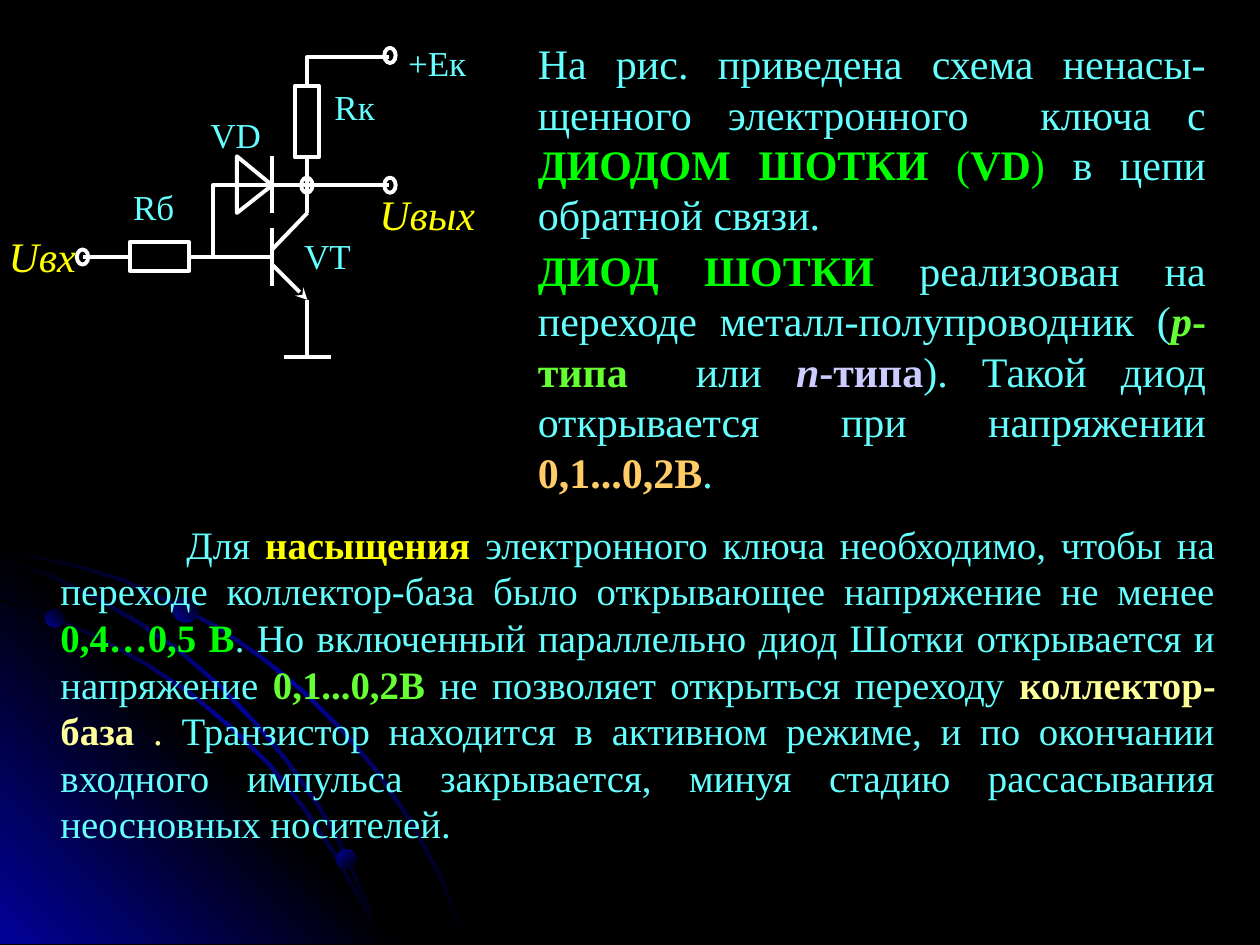
"""Build a slide on the unsaturated electronic switch with a Schottky diode."""
import dataclasses

import lxml.etree
import pptx
import pptx.dml.color
import pptx.enum.shapes
import pptx.enum.text
import pptx.oxml
import pptx.oxml.ns
import pptx.util

Inches = pptx.util.Inches
Shape = pptx.enum.shapes.MSO_SHAPE
Align = pptx.enum.text.PP_ALIGN
qn = pptx.oxml.ns.qn


@dataclasses.dataclass(frozen=True)
class Theme:
    font: str = "Times New Roman"
    black: str = "000000"
    blue: str = "010199"
    white: str = "FFFFFF"
    cyan: str = "66FFFF"
    yellow: str = "FFFF00"
    green: str = "00FF00"
    lime: str = "66FF33"
    cream: str = "FFFF99"
    lilac: str = "CCCCFF"
    orange: str = "FFCC66"
    label: float = 20
    text: float = 24
    body: float = 22.2
    wire: float = 2.25


theme = Theme()
BOLD = {"bold": True}
ITALIC = {"italic": True}
BOLD_ITALIC = {"bold": True, "italic": True}


def write(para, size, align, spans):
    para.alignment = align
    for text, color, traits in spans:
        span = para.add_run()
        span.text = text
        values = {"name": theme.font, "size": pptx.util.Pt(size), "bold": False, "italic": False}
        for name, value in (values | traits).items():
            setattr(span.font, name, value)
        span.font.color.rgb = pptx.dml.color.RGBColor.from_string(color)


def paint(shape, colors=None, angle=0):
    shape.shadow.inherit = False
    if not colors:
        shape.fill.background()
        shape.line.color.rgb = pptx.dml.color.RGBColor.from_string(theme.white)
        shape.line.width = pptx.util.Pt(theme.wire)
        return
    shape.line.fill.background()
    shape.fill.gradient()
    gradient = shape._element.spPr.find(qn("a:gradFill"))
    stops = gradient.find(qn("a:gsLst"))
    for stop in list(stops):
        stops.remove(stop)
    for index, color in enumerate(colors):
        position = str(100000 * index // (len(colors) - 1))
        stop = lxml.etree.SubElement(stops, qn("a:gs"), pos=position)
        lxml.etree.SubElement(stop, qn("a:srgbClr"), val=color)
    gradient.find(qn("a:lin")).set("ang", str(angle * 60000))


deck = pptx.Presentation()
deck.slide_width, deck.slide_height = Inches(10), Inches(7.5)
page = deck.slides.add_slide(deck.slide_layouts[1])
page.background.fill.solid()
page.background.fill.fore_color.rgb = pptx.dml.color.RGBColor.from_string(theme.black)
title = page.shapes.title._element
title.getparent().remove(title)

arcs = [
    [(0, 4.35), (0.28, 4.41), (0.57, 4.47), (0.98, 4.59), (1.36, 4.77), (1.74, 4.97),
     (2.09, 5.21), (2.42, 5.48), (2.72, 5.78), (3, 6.11), (3.25, 6.48), (3.39, 6.73),
     (3.52, 6.98), (3.62, 7.23), (3.72, 7.49)],
    [(0, 4.75), (0.41, 4.88), (0.79, 5.05), (1.17, 5.26), (1.52, 5.49), (1.84, 5.76),
     (2.15, 6.06), (2.42, 6.4), (2.66, 6.76), (2.86, 7.12), (2.96, 7.3), (3.03, 7.49)],
    [(0, 4.42), (0.39, 4.55), (0.76, 4.73), (1.11, 4.93), (1.44, 5.16), (1.75, 5.43),
     (2.04, 5.73), (2.29, 6.03), (2.54, 6.39), (2.69, 6.65), (2.82, 6.93), (2.94, 7.2),
     (3.03, 7.49)],
]
glow = (theme.black, theme.blue, theme.black)
ribbons = [
    arc + [(max(0, x - 0.02), min(7.5, y + 0.02)) for x, y in reversed(arc)] for arc in arcs
]
corner = [(3.22, 7.49), (0, 7.49), (0, 4.27)]
outlines = [
    (ribbons[0], True, glow, 225),
    (corner, True, (theme.blue, theme.black, theme.blue), 135),
    (ribbons[1], True, glow, 225),
    (ribbons[2], True, glow, 225),
    ([(1.69, 2.04), (1.69, 1.47), (3.09, 1.47)], False, None, 0),
    ([(1.88, 1.24), (1.88, 1.69), (2.16, 1.47)], True, None, 0),
    ([(2.44, 0.68), (2.44, 0.45), (3.09, 0.45)], False, None, 0),
]
for points, closed, colors, angle in outlines:
    corners = [(Inches(x), Inches(y)) for x, y in points]
    builder = page.shapes.build_freeform(*corners[0])
    builder.add_line_segments(corners[1:], close=closed)
    paint(builder.convert_to_shape(), colors, angle)

for left, top, size, angle in [(0.36, 4.83, 0.15, 135), (2.67, 6.74, 0.16, 225), (1.37, 4.73, 0.21, 135)]:
    planet = page.shapes.add_shape(Shape.OVAL, Inches(left), Inches(top), Inches(size), Inches(size))
    paint(planet, (theme.black, theme.blue), angle)

resistors = [(1.03, 1.92, 0.47, 0.23), (2.34, 0.68, 0.19, 0.57)]
terminals = [(left, top, 0.09, 0.12) for left, top in [(0.61, 1.98), (3.05, 1.41), (3.05, 0.38), (2.39, 1.41)]]
for kind, places in [(Shape.RECTANGLE, resistors), (Shape.OVAL, terminals)]:
    for place in places:
        paint(page.shapes.add_shape(kind, *map(Inches, place)))

emitter = (2.16, 2.1, 2.44, 2.38)
wires = [
    (2.44, 2.38, 2.44, 2.83), (2.25, 2.83, 2.63, 2.83), (1.5, 2.04, 1.97, 2.04),
    (2.16, 1.81, 2.16, 2.27), emitter, (2.16, 1.98, 2.44, 1.69), (1.97, 2.04, 2.16, 2.04),
    (0.66, 2.04, 1.03, 2.04), (2.44, 1.24, 2.44, 1.69), (2.16, 1.24, 2.16, 1.69),
]
for ends in wires:
    wire = page.shapes.add_connector(pptx.enum.shapes.MSO_CONNECTOR.STRAIGHT, *map(Inches, ends))
    wire.line.color.rgb = pptx.dml.color.RGBColor.from_string(theme.white)
    wire.line.width = pptx.util.Pt(theme.wire)
    if ends == emitter:
        lxml.etree.SubElement(wire.line._get_or_add_ln(), qn("a:tailEnd"), type="stealth")
    lxml.etree.SubElement(wire._element.spPr, qn("a:effectLst"))

small = (theme.label, theme.cyan, {})
signal = (theme.text, theme.yellow, ITALIC)
labels = [
    ("VD", 1.59, 0.9, 0.56, small), ("Uвх", 0, 1.83, 0.67, signal),
    ("Uвых", 2.95, 1.5, 0.88, signal), ("Rб", 0.94, 1.47, 0.56, small),
    ("Rк", 2.63, 0.68, 0.37, small), ("+Ек", 3.19, 0.33, 0.56, small),
    ("VT", 2.32, 1.86, 0.56, small),
]
for text, left, top, width, (size, color, traits) in labels:
    box = page.shapes.add_textbox(Inches(left), Inches(top), Inches(width), Inches(0.34))
    frame = box.text_frame
    for side in ("left", "top", "right", "bottom"):
        setattr(frame, f"margin_{side}", 0)
    frame.word_wrap = True
    write(frame.paragraphs[0], size, Align.CENTER, [(text, color, traits)])

box = page.shapes.add_textbox(Inches(4.17), Inches(0.25), Inches(5.5), Inches(3.74))
box.text_frame.word_wrap = True
write(box.text_frame.paragraphs[0], theme.text, Align.JUSTIFY, [
    ("На рис. приведена схема ненасы-щенного электронного  ключа с ", theme.cyan, {}),
    ("ДИОДОМ ШОТКИ", theme.green, BOLD), (" (", theme.green, {}),
    ("VD", theme.green, BOLD), (")", theme.green, {}),
    (" в цепи обратной связи.", theme.cyan, {}),
])
para = box.text_frame.add_paragraph()
para.space_before = pptx.util.Pt(3)
write(para, theme.text, Align.JUSTIFY, [
    ("ДИОД ШОТКИ", theme.green, BOLD),
    (" реализован на переходе металл-полупроводник (", theme.cyan, {}),
    ("p", theme.lime, BOLD_ITALIC), ("-типа", theme.lime, BOLD),
    ("  или ", theme.cyan, {}), ("n", theme.lilac, BOLD_ITALIC), ("-типа", theme.lilac, BOLD),
    ("). Такой диод открывается при напряжении ", theme.cyan, {}),
    ("0,1...0,2В", theme.orange, BOLD), (".", theme.cyan, {}),
])

body = page.placeholders[1]
body._element.getparent().append(body._element)
for name, value in {"left": 0, "top": 4.08, "width": 9.75, "height": 3.17}.items():
    setattr(body, name, Inches(value))
body.text_frame.auto_size = pptx.enum.text.MSO_AUTO_SIZE.NONE
para = body.text_frame.paragraphs[0]
para.space_before = pptx.util.Pt(0)
layout = para._p.get_or_add_pPr()
layout.set("marL", str(Inches(0.38)))
layout.set("indent", str(Inches(1)))
lxml.etree.SubElement(layout, qn("a:buNone"))
write(para, theme.body, Align.JUSTIFY, [
    ("Для ", theme.cyan, {}), ("насыщения", theme.yellow, BOLD),
    (" электронного ключа необходимо, чтобы на переходе коллектор-база было "
     "открывающее напряжение не менее ", theme.cyan, {}),
    ("0,4…0,5 В", theme.green, BOLD),
    (". Но включенный параллельно диод Шотки открывается и напряжение ", theme.cyan, {}),
    ("0,1...0,2В ", theme.lime, BOLD), ("не позволяет открыться переходу ", theme.cyan, {}),
    ("коллектор-база", theme.cream, BOLD), (" .", theme.cream, {}),
    (" Транзистор находится в активном режиме, и по окончании входного импульса "
     "закрывается, минуя стадию рассасывания неосновных носителей.", theme.cyan, {}),
])

deck.save("out.pptx")
